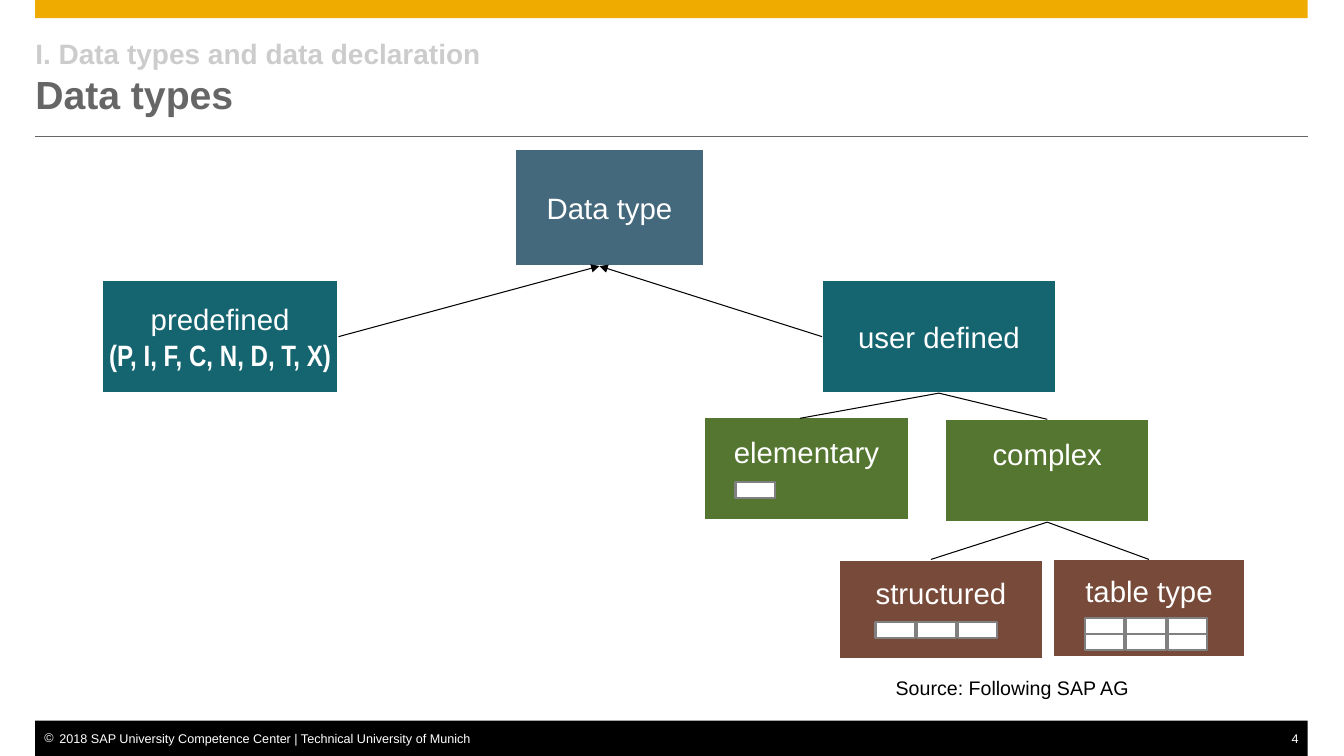
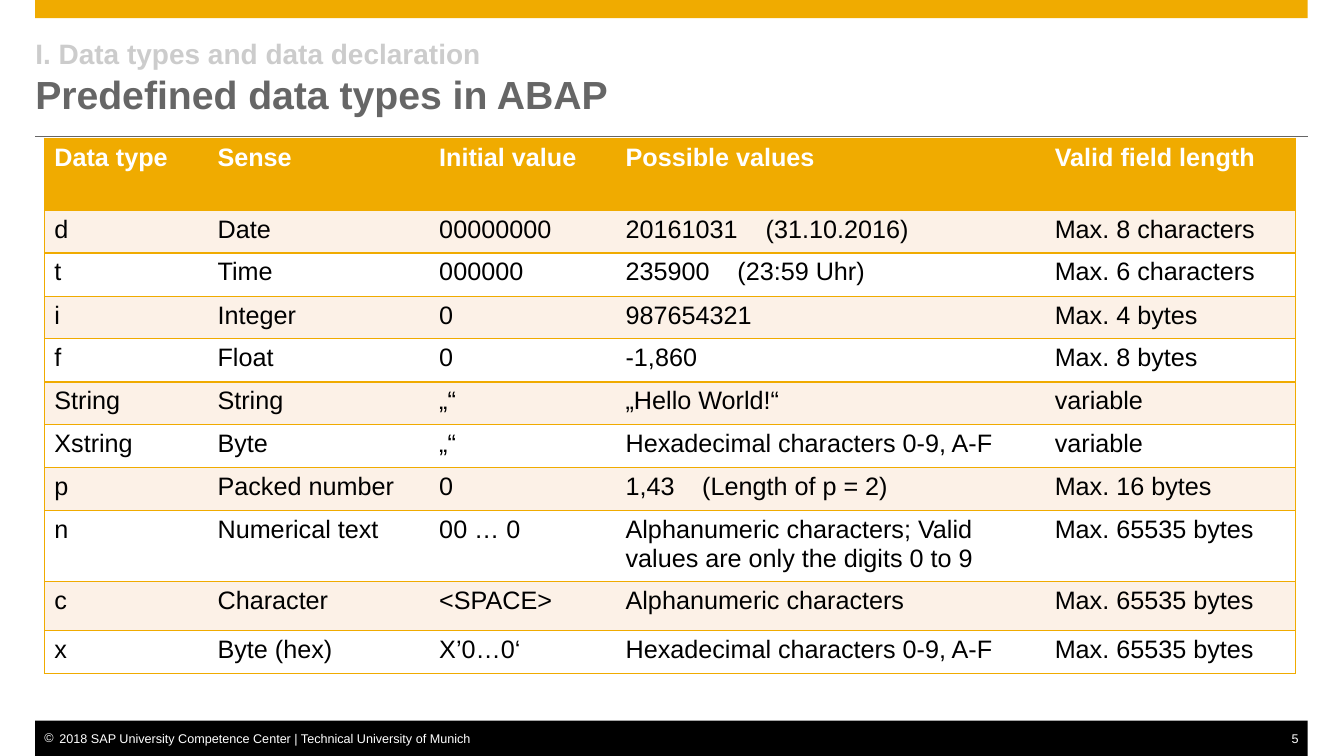
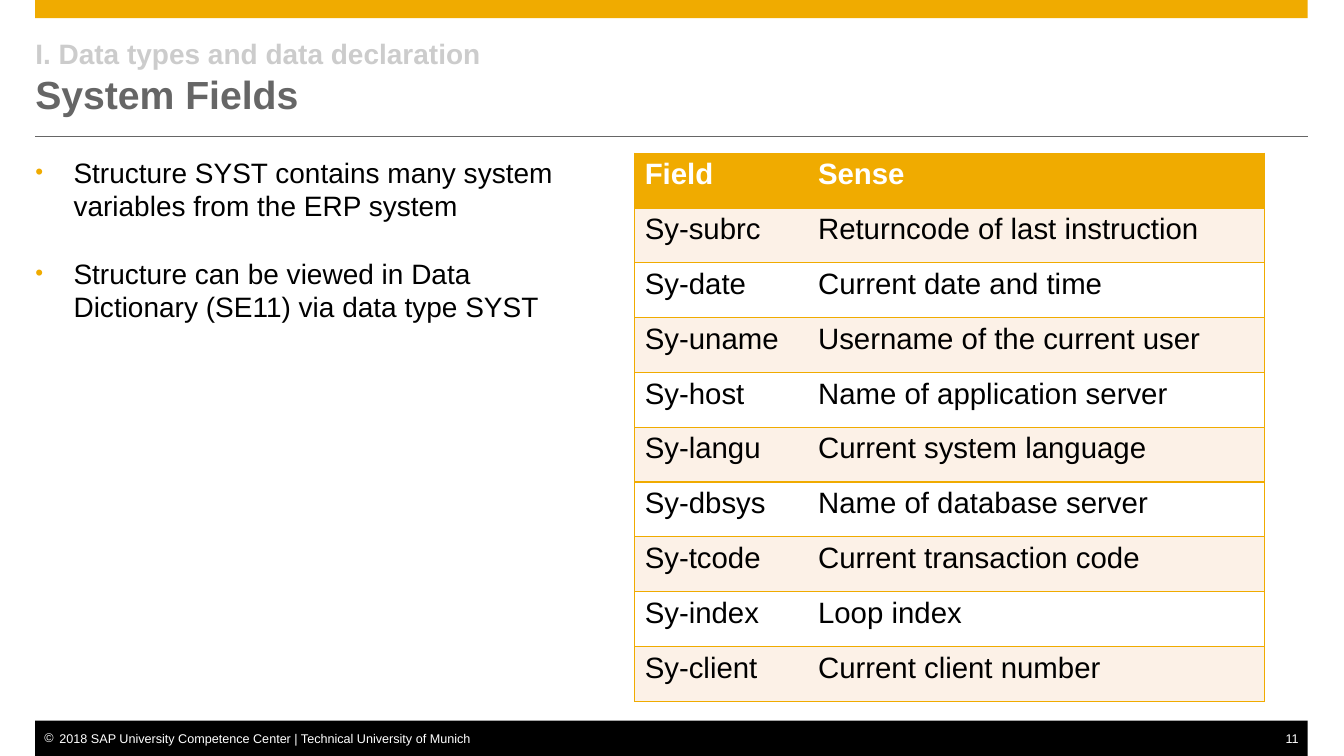
import lxml.etree
import pptx
import pptx.dml.color
import pptx.enum.shapes
import pptx.enum.text
import pptx.oxml.ns
import pptx.util

Inches = pptx.util.Inches
Pt = pptx.util.Pt
RGBColor = pptx.dml.color.RGBColor
PP_ALIGN = pptx.enum.text.PP_ALIGN
MSO_ANCHOR = pptx.enum.text.MSO_ANCHOR
qn = pptx.oxml.ns.qn

GOLD = RGBColor(0xF0, 0xAB, 0x00)
CREAM = RGBColor(0xFC, 0xF1, 0xE7)
WHITE = RGBColor(0xFF, 0xFF, 0xFF)
BLACK = RGBColor(0x00, 0x00, 0x00)
TITLE_GREY = RGBColor(0x66, 0x66, 0x66)
CHAPTER_GREY = RGBColor(0xCC, 0xCC, 0xCC)
FIELD_GREY = RGBColor(0x80, 0x80, 0x80)
SLATE = RGBColor(0x44, 0x69, 0x7D)
TEAL = RGBColor(0x15, 0x65, 0x70)
GREEN = RGBColor(0x55, 0x76, 0x30)
BROWN = RGBColor(0x77, 0x4A, 0x39)

TOP, LEFT, BOTTOM, RIGHT = range(4)
MARGIN, CONTENT_WIDTH = 0.35, 12.63
NO_GRID_STYLE = "{2D5ABB26-0587-4C30-8999-92F81FD0307C}"
CHAPTER = "I. Data types and data declaration"
COPYRIGHT = "2018 SAP University Competence Center | Technical University of Munich"


def add_xml(parent, tag, **attributes):
    return lxml.etree.SubElement(parent, qn(tag), attributes)


def add_color(parent, color):
    add_xml(add_xml(parent, "a:solidFill"), "a:srgbClr", val=str(color))


class Deck:
    font = "Arial"

    def __init__(self):
        self.presentation = pptx.Presentation()
        self.presentation.slide_width = Inches(13.34)
        self.presentation.slide_height = Inches(7.5)
        self.slide = None

    def new_slide(self, title, number, layout="Title Only"):
        layouts = self.presentation.slide_layouts
        self.slide = self.presentation.slides.add_slide(layouts.get_by_name(layout))
        self.rectangle(MARGIN, 0, CONTENT_WIDTH, 0.18, GOLD)
        self.line((MARGIN, 1.35), (MARGIN + CONTENT_WIDTH, 1.35), TITLE_GREY, 0.5)
        self.rectangle(MARGIN, 7.15, CONTENT_WIDTH, 0.35, BLACK)
        copyright_line = self.text(MARGIN, 7.25, 4.38, 0.15, COPYRIGHT, 9, WHITE)
        copyright_line.margin_left = Inches(0.09)
        self.bullet(copyright_line.paragraphs[0], "©", 0.15, WHITE)
        page = self.text(12.73, 7.25, 0.25, 0.15, str(number), 9, WHITE)
        page.margin_right = Inches(0.09)
        page.paragraphs[0].alignment = PP_ALIGN.RIGHT
        self.title(title)

    def title(self, title):
        frame = self.place(self.slide.shapes.title, MARGIN, 0.35, CONTENT_WIDTH, 0.83)
        frame.vertical_anchor = MSO_ANCHOR.MIDDLE
        frame.text = f"{CHAPTER}\v{title}"
        heading = frame.paragraphs[0]
        heading.alignment = PP_ALIGN.LEFT
        chapter_run, title_run = heading.runs
        self.style(chapter_run, 20, CHAPTER_GREY, True)
        self.style(title_run, 28, TITLE_GREY, True)
        add_xml(heading._p.find(qn("a:br")), "a:rPr", sz="2000")

    def place(self, placeholder, left, top, width, height):
        placeholder.left, placeholder.top = Inches(left), Inches(top)
        placeholder.width, placeholder.height = Inches(width), Inches(height)
        frame = placeholder.text_frame
        frame.auto_size = pptx.enum.text.MSO_AUTO_SIZE.NONE
        self.clear_margins(frame)
        return frame

    def clear_margins(self, frame):
        frame.margin_left = frame.margin_right = 0
        frame.margin_top = frame.margin_bottom = 0

    def style(self, run, size, color, bold=False):
        run.font.name = self.font
        run.font.size = Pt(size)
        run.font.bold = bold
        run.font.color.rgb = color

    def style_all(self, frame, size, color, bold=False):
        for paragraph in frame.paragraphs:
            for run in paragraph.runs:
                self.style(run, size, color, bold)

    def bullet(self, paragraph, character, indent, color, percent=100):
        properties = paragraph._p.get_or_add_pPr()
        properties.set("marL", str(Inches(indent)))
        properties.set("indent", str(-Inches(indent)))
        add_xml(add_xml(properties, "a:buClr"), "a:srgbClr", val=str(color))
        add_xml(properties, "a:buSzPct", val=str(percent * 1000))
        add_xml(properties, "a:buFont", typeface=self.font)
        add_xml(properties, "a:buChar", char=character)

    def text(self, left, top, width, height, words, size, color):
        box = self.slide.shapes.add_textbox(
            Inches(left), Inches(top), Inches(width), Inches(height))
        frame = box.text_frame
        frame.word_wrap = False
        self.clear_margins(frame)
        frame.text = words
        self.style_all(frame, size, color)
        return frame

    def rectangle(self, left, top, width, height, fill, outline=None):
        shape = self.slide.shapes.add_shape(
            pptx.enum.shapes.MSO_SHAPE.RECTANGLE,
            Inches(left), Inches(top), Inches(width), Inches(height))
        shape.shadow.inherit = False
        shape.fill.solid()
        shape.fill.fore_color.rgb = fill
        if outline is None:
            shape.line.fill.background()
        else:
            shape.line.color.rgb = outline
            shape.line.width = Pt(1.5)
        return shape

    def node(self, left, top, width, height, words, fill, space_below=0):
        shape = self.rectangle(left, top, width, height, fill, WHITE)
        frame = shape.text_frame
        frame.word_wrap = False
        frame.vertical_anchor = MSO_ANCHOR.MIDDLE
        self.clear_margins(frame)
        frame.margin_bottom = Inches(space_below)
        frame.text = words
        self.style_all(frame, 21, WHITE)
        for paragraph in frame.paragraphs:
            paragraph.alignment = PP_ALIGN.CENTER
        return shape

    def fields(self, left, top, columns=1, rows=1):
        for row in range(rows):
            for column in range(columns):
                self.rectangle(left + 0.41 * column, top + 0.16 * row,
                               0.39, 0.16, WHITE, FIELD_GREY)

    def line(self, start, end, color=BLACK, width=0.75, arrow=False):
        connector = self.slide.shapes.add_connector(
            pptx.enum.shapes.MSO_CONNECTOR.STRAIGHT, 0, 0, 0, 0)
        if isinstance(start[0], (int, float)):
            connector.begin_x, connector.begin_y = map(Inches, start)
        else:
            connector.begin_connect(*start)
        if isinstance(end[0], (int, float)):
            connector.end_x, connector.end_y = map(Inches, end)
        else:
            connector.end_connect(*end)
        connector.line.color.rgb = color
        connector.line.width = Pt(width)
        properties = connector._element.spPr
        if arrow:
            add_xml(properties.find(qn("a:ln")), "a:tailEnd", type="triangle")
        add_xml(properties, "a:effectLst")

    def bullets(self, left, top, width, height, items):
        frame = self.place(self.slide.placeholders[1], left, top, width, height)
        frame.text = "\n".join(items)
        for index, paragraph in enumerate(frame.paragraphs):
            self.bullet(paragraph, "•", 0.38, GOLD, 80)
            paragraph.space_before = Pt(24 if index else 0)
        self.style_all(frame, 20, BLACK)

    def table(self, left, top, widths, heights, rows, size, tab_stops=None):
        table = self.slide.shapes.add_table(
            len(rows), len(widths), Inches(left), Inches(top),
            Inches(sum(widths)), Inches(sum(heights))).table
        table._tbl.tblPr.find(qn("a:tableStyleId")).text = NO_GRID_STYLE
        for column, width in zip(table.columns, widths):
            column.width = Inches(width)
        for row, height in zip(table.rows, heights):
            row.height = Inches(height)
        last = len(widths) - 1
        for row_index, row in enumerate(rows):
            header = row_index == 0
            fill = GOLD if header else CREAM if row_index % 2 else WHITE
            for column_index, words in enumerate(row):
                cell = table.cell(row_index, column_index)
                self.borders(cell, column_index == 0, column_index == last)
                cell.fill.solid()
                cell.fill.fore_color.rgb = fill
                cell.text_frame.text = words
                lead, tab, _ = words.partition("\t")
                if tab:
                    properties = cell.text_frame.paragraphs[0]._p.get_or_add_pPr()
                    add_xml(add_xml(properties, "a:tabLst"), "a:tab",
                            pos=str(Inches(tab_stops[lead])), algn="l")
                self.style_all(cell.text_frame, size, WHITE if header else BLACK, header)

    def borders(self, cell, first, last):
        properties = cell._tc.get_or_add_tcPr()
        sides = {"a:lnL": first, "a:lnR": last, "a:lnT": True, "a:lnB": True}
        for tag, shown in sides.items():
            if shown:
                add_color(add_xml(properties, tag, w=str(Pt(1))), GOLD)


def type_hierarchy(deck):
    deck.new_slide("Data types", 4)
    data_type = (5.95, 2.64)
    deck.node(5.11, 1.48, 1.88, 1.16, "Data type", SLATE)
    predefined = deck.node(1.01, 2.78, 2.35, 1.12,
                           "predefined\n(P, I, F, C, N, D, T, X)", TEAL)
    type_letters = predefined.text_frame.paragraphs[1].runs[0].font
    type_letters.name = "Arial Narrow"
    type_letters.bold = True
    user_defined = deck.node(8.16, 2.78, 2.32, 1.12, "user defined", TEAL)
    deck.node(6.99, 4.14, 2.03, 1.02, "elementary", GREEN, 0.34)
    complex_type = deck.node(9.38, 4.16, 2.03, 1.02, "complex", GREEN, 0.34)
    deck.node(8.33, 5.56, 2.02, 0.98, "structured", BROWN, 0.34)
    table_type = deck.node(10.45, 5.55, 1.91, 0.97, "table type", BROWN, 0.34)
    deck.fields(7.3, 4.78)
    deck.fields(8.69, 6.17, columns=3)
    deck.fields(10.77, 6.13, columns=3, rows=2)
    deck.text(8.89, 6.71, 2.34, 0.24, "Source: Following SAP AG", 14, BLACK)
    deck.line((predefined, RIGHT), data_type, arrow=True)
    deck.line((user_defined, LEFT), data_type, arrow=True)
    deck.line((user_defined, BOTTOM), (7.94, 4.15))
    deck.line((user_defined, BOTTOM), (complex_type, TOP))
    deck.line((complex_type, BOTTOM), (9.24, 5.55))
    deck.line((complex_type, BOTTOM), (table_type, TOP))


def predefined_types(deck):
    deck.new_slide("Predefined data types in ABAP", 5)
    rows = [
        ("Data type", "Sense", "Initial value", "Possible values", "Valid field length"),
        ("d", "Date", "00000000", "20161031\t(31.10.2016)", "Max. 8 characters"),
        ("t", "Time", "000000", "235900\t(23:59 Uhr)", "Max. 6 characters"),
        ("i", "Integer", "0", "987654321", "Max. 4 bytes"),
        ("f", "Float", "0", "-1,860", "Max. 8 bytes"),
        ("String", "String", "„“", "„Hello World!“", "variable"),
        ("Xstring", "Byte", "„“", "Hexadecimal characters 0-9, A-F", "variable"),
        ("p", "Packed number", "0", "1,43\t(Length of p = 2)", "Max. 16 bytes"),
        ("n", "Numerical text", "00 … 0",
         "Alphanumeric characters; Valid values are only the digits 0 to 9",
         "Max. 65535 bytes"),
        ("c", "Character", "<SPACE>", "Alphanumeric characters", "Max. 65535 bytes"),
        ("x", "Byte (hex)", "X’0…0‘", "Hexadecimal characters 0-9, A-F",
         "Max. 65535 bytes"),
    ]
    heights = [0.72] + [0.42, 0.43] * 3 + [0.43, 0.66, 0.49, 0.42]
    deck.table(0.44, 1.37, [1.62, 2.2, 1.85, 4.26, 2.49], heights, rows, 18,
               {"20161031": 1.39, "235900": 1.11, "1,43": 0.76})


def system_fields(deck):
    deck.new_slide("System Fields", 11, "Title and Content")
    deck.bullets(MARGIN, 1.54, 5.32, 4.8, [
        "Structure SYST contains many system variables from the ERP system",
        "Structure can be viewed in Data Dictionary (SE11) via data type SYST",
    ])
    rows = [
        ("Field", "Sense"),
        ("Sy-subrc", "Returncode of last instruction"),
        ("Sy-date", "Current date and time"),
        ("Sy-uname", "Username of the current user"),
        ("Sy-host", "Name of application server"),
        ("Sy-langu", "Current system language"),
        ("Sy-dbsys", "Name of database server"),
        ("Sy-tcode", "Current transaction code"),
        ("Sy-index", "Loop index"),
        ("Sy-client", "Current client number"),
    ]
    deck.table(6.3, 1.52, [1.72, 4.53], [5.44 / len(rows)] * len(rows), rows, 21)


def main():
    deck = Deck()
    type_hierarchy(deck)
    predefined_types(deck)
    system_fields(deck)
    deck.presentation.save("out.pptx")


if __name__ == "__main__":
    main()
